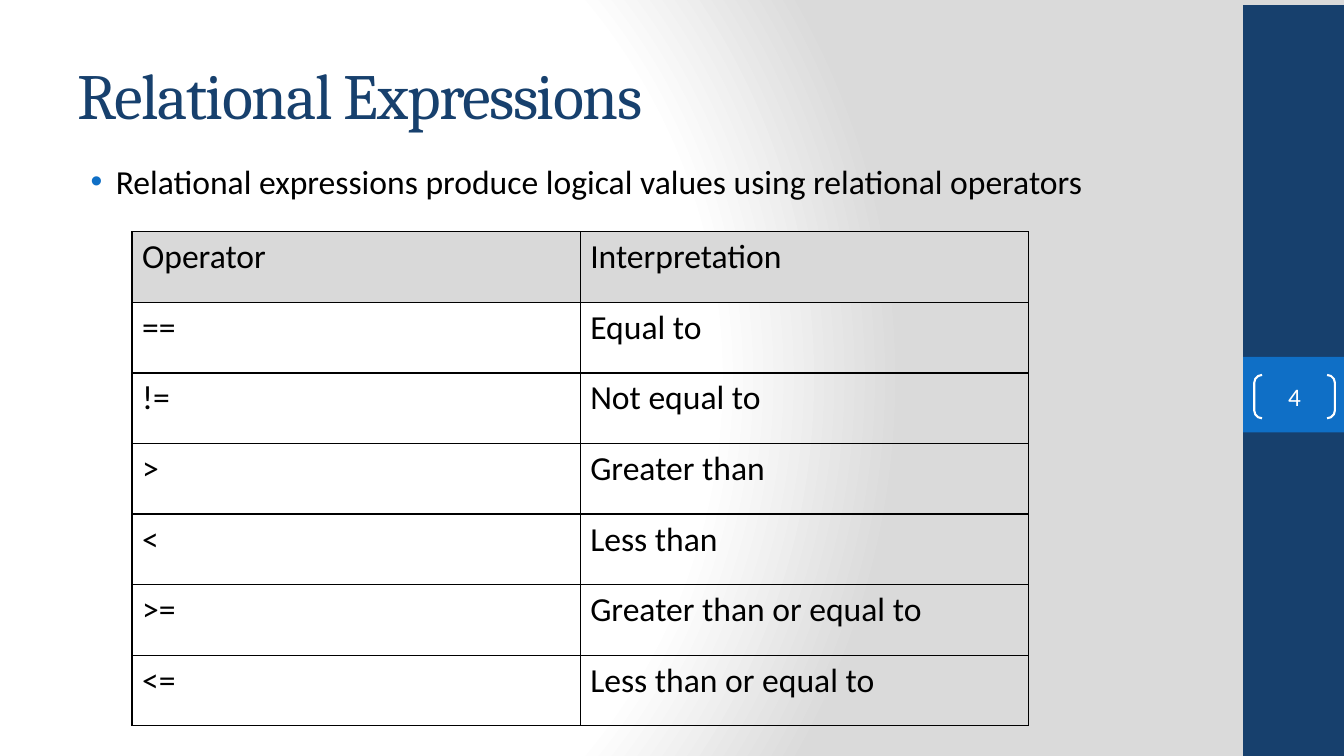
import pptx
import pptx.dml.color
import pptx.enum.shapes
import pptx.enum.text
import pptx.oxml
import pptx.oxml.ns
import pptx.util

Inches = pptx.util.Inches
NAVY, BLUE, WHITE, BLACK = "17406D", "0F6FC6", "FFFFFF", "000000"
ALIGN = pptx.enum.text.PP_ALIGN
ANCHOR = pptx.enum.text.MSO_ANCHOR
SHAPE = pptx.enum.shapes.MSO_SHAPE
NAMESPACES = pptx.oxml.ns.nsdecls("a", "p")


def color(value):
    """Turn a hex string into a colour."""
    return pptx.dml.color.RGBColor.from_string(value)


def write(frame, text, size, hue, font="Calibri", **formats):
    """Write one line of text into a frame and return its paragraph and span."""
    for name, value in formats.items():
        setattr(frame, name, value)
    para = frame.paragraphs[0]
    span = para.add_run()
    for name, value in {"text": text}.items():
        setattr(span, name, value)
    for name, value in {"name": font, "size": pptx.util.Pt(size)}.items():
        setattr(span.font, name, value)
    span.font.color.rgb = color(hue)
    return para, span


deck = pptx.Presentation()
deck.slide_width, deck.slide_height = Inches(13.33), Inches(7.5)
page = deck.slides.add_slide(deck.slide_layouts[6])

# Radial background
stops = "".join(
    f'<a:gs pos="{place * 1000}"><a:srgbClr val="{hue}"/></a:gs>'
    for place, hue in [(0, WHITE), (75, WHITE), (100, "DADADA")]
)
background = pptx.oxml.parse_xml(
    f'<p:bg {NAMESPACES}><p:bgPr><a:gradFill rotWithShape="1"><a:gsLst>{stops}</a:gsLst>'
    '<a:path path="circle"><a:fillToRect l="20000" t="50000" r="100000" b="50000"/></a:path>'
    "</a:gradFill><a:effectLst/></p:bgPr></p:bg>"
)
page.element.cSld.insert(0, background)

# Side bar with its page number band
for top, height, hue in [(0.05, 7.45, NAVY), (3.54, 0.75, BLUE)]:
    bar = page.shapes.add_shape(
        SHAPE.RECTANGLE, Inches(12.33), Inches(top), Inches(1), Inches(height))
    bar.shadow.inherit = False
    bar.fill.solid()
    bar.fill.fore_color.rgb = color(hue)
    bar.line.fill.background()

# Title
title = page.shapes.add_textbox(Inches(0.67), Inches(0.3), Inches(11.11), Inches(1.25))
para, span = write(title.text_frame, "Relational Expressions", 46, NAVY, "Cambria",
                   word_wrap=True, vertical_anchor=ANCHOR.MIDDLE)
span.font._element.set("spc", "-100")

# Bullet line
body = page.shapes.add_textbox(Inches(0.67), Inches(1.55), Inches(11.11), Inches(5.53))
para, span = write(
    body.text_frame,
    "Relational expressions produce logical values using relational operators",
    24, BLACK, word_wrap=True)
layout = para._p.get_or_add_pPr()
layout.set("marL", str(Inches(0.38)))
layout.set("indent", str(Inches(-0.25)))
for part in [
    '<a:spcBef {}><a:spcPct val="20000"/></a:spcBef>',
    '<a:buClr {}><a:srgbClr val="' + BLUE + '"/></a:buClr>',
    '<a:buFont {} typeface="Arial"/>',
    '<a:buChar {} char="\u2022"/>',
]:
    layout.append(pptx.oxml.parse_xml(part.format(NAMESPACES)))

# Page number
number = page.shapes.add_shape(
    SHAPE.DOUBLE_BRACKET, Inches(12.44), Inches(3.72), Inches(0.8), Inches(0.43))
number.shadow.inherit = False
number.adjustments[0] = 0.18
number.fill.background()
number.line.color.rgb = color(WHITE)
number.line.width = pptx.util.Pt(1.5)
para, span = write(number.text_frame, "4", 18, WHITE, vertical_anchor=ANCHOR.MIDDLE,
                   margin_left=0, margin_right=0, margin_top=0, margin_bottom=0)
para.alignment = ALIGN.CENTER

# Operator table
operators = [
    ("Operator", "Interpretation"),
    ("==", "Equal to"),
    ("!=", "Not equal to"),
    (">", "Greater than"),
    ("<", "Less than"),
    (">=", "Greater than or equal to"),
    ("<=", "Less than or equal to"),
]
table = page.shapes.add_table(
    len(operators), 2, Inches(1.31), Inches(2.3), Inches(8.89), Inches(4.9)).table
table.first_row = table.horz_banding = False
for row, texts in enumerate(operators):
    for column, text in enumerate(texts):
        cell = table.cell(row, column)
        write(cell.text_frame, text, 24, BLACK)
        if row == 0:
            cell.fill.solid()
            cell.fill.fore_color.rgb = color("D9D9D9")
        else:
            cell.fill.background()
        for index, side in enumerate("LRTB"):
            border = pptx.oxml.parse_xml(
                f'<a:ln{side} {NAMESPACES} w="12700"><a:solidFill>'
                f'<a:srgbClr val="{BLACK}"/></a:solidFill></a:ln{side}>')
            cell._tc.get_or_add_tcPr().insert(index, border)

deck.save("out.pptx")
